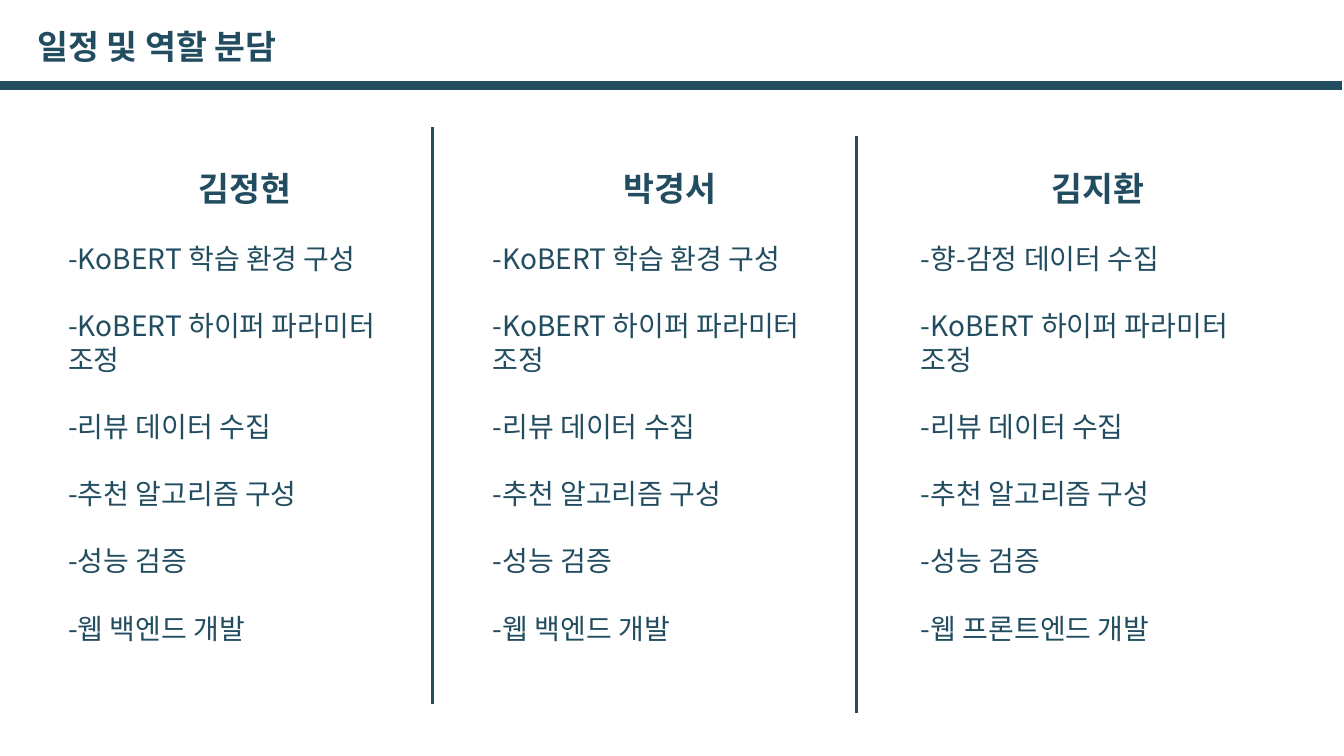
from pptx import Presentation
from pptx.dml.color import RGBColor
from pptx.enum.shapes import MSO_CONNECTOR
from pptx.enum.text import MSO_AUTO_SIZE, PP_ALIGN
from pptx.oxml.ns import qn
from pptx.util import Cm, Pt
from lxml import etree

STRAIGHT = MSO_CONNECTOR.STRAIGHT
GROW = MSO_AUTO_SIZE.SHAPE_TO_FIT_TEXT
LEFT, CENTER = PP_ALIGN.LEFT, PP_ALIGN.CENTER

THEME = {
    "font": "Noto Sans CJK KR",
    "ink": RGBColor(0x22, 0x4D, 0x60),
    "head": Pt(24),
    "head_line": Pt(29),
    "body": Pt(20),
    "body_line": Pt(24),
    "gap": Pt(24),
    "bar": Pt(6.75),
    "rule": Pt(2),
}

deck = Presentation()
deck.slide_width, deck.slide_height = Cm(33.87), Cm(19.05)
slide = deck.slides.add_slide(deck.slide_layouts[6])


def add_text(x, y, w, h, lines):
    """Add a box; each line is (text, is_head, align)."""
    box = slide.shapes.add_textbox(Cm(x), Cm(y), Cm(w), Cm(h))
    frame = box.text_frame
    frame.word_wrap = True
    frame.auto_size = GROW
    for i, (text, head, align) in enumerate(lines):
        para = frame.add_paragraph() if i else frame.paragraphs[0]
        para.alignment = align
        para.line_spacing = THEME["head_line" if head else "body_line"]
        if i:
            para.space_before = THEME["gap"]
        run = para.add_run()
        run.text = text
        font = run.font
        font.name = THEME["font"]
        font.size = THEME["head" if head else "body"]
        font.bold = head
        font.color.rgb = THEME["ink"]
        east = etree.SubElement(run._r.get_or_add_rPr(), qn("a:ea"))
        east.set("typeface", THEME["font"])


def add_line(x1, y1, x2, y2, width):
    line = slide.shapes.add_connector(STRAIGHT, Cm(x1), Cm(y1), Cm(x2), Cm(y2))
    line.line.color.rgb = THEME["ink"]
    line.line.width = width
    etree.SubElement(line._element.spPr, qn("a:effectLst"))


# Title and bar
add_text(0.69, 0.53, 13.89, 1.27, [("일정 및 역할 분담", True, LEFT)])
add_line(-0.05, 2.16, 33.82, 2.16, THEME["bar"])

# One column per member: left edge, name, first and last task
SETUP, BACK = "-KoBERT 학습 환경 구성", "-웹 백엔드 개발"
SHARED = [
    "-KoBERT 하이퍼 파라미터 조정",
    "-리뷰 데이터 수집",
    "-추천 알고리즘 구성",
    "-성능 검증",
]
TEAM = [
    (1.47, "김정현", SETUP, BACK),
    (12.17, "박경서", SETUP, BACK),
    (22.96, "김지환", "-향-감정 데이터 수집", "-웹 프론트엔드 개발"),
]
for x, name, first, last in TEAM:
    tasks = [(task, False, LEFT) for task in [first, *SHARED, last]]
    add_text(x, 4.09, 9.42, 12.4, [(name, True, CENTER), *tasks])

# Rules between the columns
for x, top in [(10.9, 3.2), (21.59, 3.43)]:
    add_line(x, top, x, top + 14.53, THEME["rule"])

deck.save("out.pptx")
